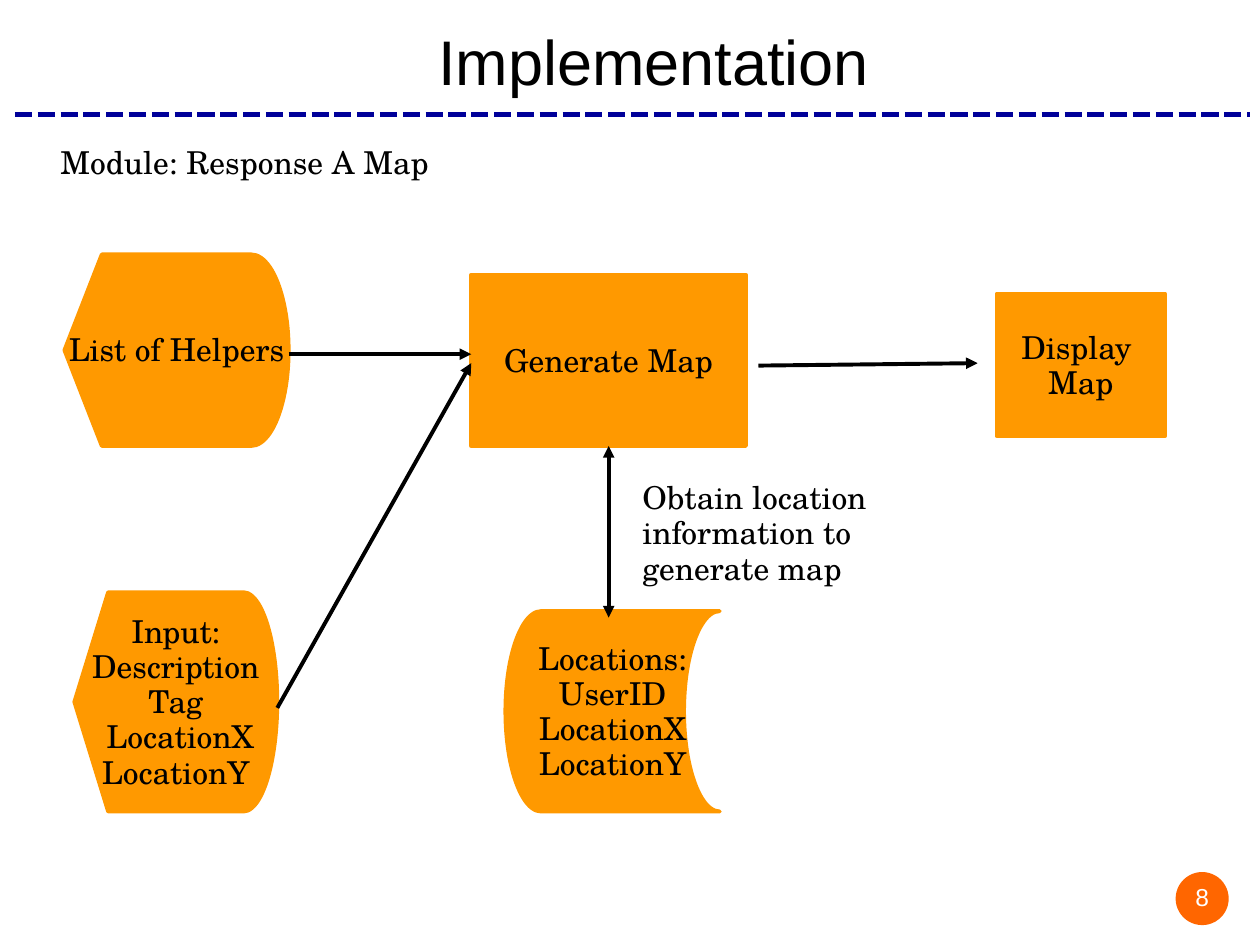
"""Builds the Implementation slide with the map response flow."""
from lxml.etree import SubElement
from pptx import Presentation
from pptx.dml.color import RGBColor
from pptx.enum.dml import MSO_LINE
from pptx.enum.shapes import MSO_CONNECTOR, MSO_SHAPE as SHAPE
from pptx.enum.text import MSO_ANCHOR as ANCHOR, MSO_AUTO_SIZE, PP_ALIGN as ALIGN
from pptx.oxml.ns import qn
from pptx.util import Cm, Pt

COLORS = {"box": "FF9900", "badge": "FF6600", "rule": "000099",
          "text": "000000", "light": "FFFFFF"}
SERIF, SANS = "TeX Gyre Schola", "Arial"


def write(sp, text, size=18, font=SERIF, color="text", align=ALIGN.CENTER,
          anchor=ANCHOR.MIDDLE, wrap=False, spacing=0.93, margins=(0.25, 0.18, 0.25, 0.13)):
    tf = sp.text_frame
    tf.auto_size = MSO_AUTO_SIZE.NONE
    tf.word_wrap, tf.vertical_anchor = wrap, anchor
    tf.margin_left, tf.margin_top, tf.margin_right, tf.margin_bottom = map(Cm, margins)
    tf.text = text
    for p in tf.paragraphs:
        p.alignment, p.line_spacing = align, spacing
        for r in p.runs:
            r.font.size, r.font.name = Pt(size), font
            r.font.color.rgb = RGBColor.from_string(COLORS[color])


def connect(s, x1, y1, x2, y2, color="text", width=2.25, heads=()):
    line = s.shapes.add_connector(MSO_CONNECTOR.STRAIGHT, Cm(x1), Cm(y1), Cm(x2), Cm(y2))
    line.line.color.rgb = RGBColor.from_string(COLORS[color])
    line.line.width = Pt(width)
    for head in heads:
        SubElement(line.line._get_or_add_ln(), qn(f"a:{head}"), type="triangle")
    SubElement(line._element.spPr, qn("a:effectLst"))
    return line


prs = Presentation()
prs.slide_width, prs.slide_height = Cm(25.4), Cm(19.05)
s = prs.slides.add_slide(prs.slide_layouts[5])

title = s.shapes.title
title.left, title.top, title.width, title.height = Cm(4.5), Cm(0.33), Cm(17.35), Cm(1.78)
write(title, "Implementation", size=36, font=SANS, anchor=ANCHOR.TOP, wrap=True,
      spacing=1.0, margins=(0.25, 0.13, 0.25, 0.13))

rule = connect(s, 0.3, 2.31, 25.2, 2.31, color="rule", width=3.25)
rule.line.dash_style = MSO_LINE.SQUARE_DOT

labels = [
    ("Module: Response A Map", 0.97, 2.77, 8.76, 0.86),
    ("Obtain location information to generate map", 12.7, 9.53, 5.66, 2.16),
]
for text, *place in labels:
    label = s.shapes.add_textbox(*map(Cm, place))
    write(label, text, align=ALIGN.LEFT, anchor=ANCHOR.TOP, wrap=True)

boxes = [
    (SHAPE.FLOWCHART_DISPLAY, "List of Helpers", 1.3, 5.13, 4.52, 3.86),
    (SHAPE.FLOWCHART_STORED_DATA, "Locations:\nUserID\nLocationX\nLocationY",
     10.19, 12.32, 4.32, 4.04),
    (SHAPE.FLOWCHART_DISPLAY, "Input:\nDescription\nTag\n LocationX\nLocationY",
     1.5, 11.94, 4.09, 4.42),
    (SHAPE.RECTANGLE, "Generate Map", 9.5, 5.54, 5.54, 3.45),
    (SHAPE.RECTANGLE, "Display \nMap", 20.09, 5.92, 3.4, 2.87),
]
for kind, text, *place in boxes:
    box = s.shapes.add_shape(kind, *map(Cm, place))
    box.shadow.inherit = False
    box.fill.solid()
    box.fill.fore_color.rgb = RGBColor.from_string(COLORS["box"])
    box.line.color.rgb = RGBColor.from_string(COLORS["box"])
    box.line.width = Pt(2.25)
    write(box, text)

arrows = [
    (5.82, 7.14, 9.5, 7.14),
    (5.59, 14.27, 9.5, 7.32),
    (15.29, 7.37, 19.71, 7.32),
]
for ends in arrows:
    connect(s, *ends, heads=["tailEnd"])
connect(s, 12.27, 8.99, 12.27, 12.45, heads=["headEnd", "tailEnd"])

badge = s.shapes.add_shape(SHAPE.OVAL, Cm(23.7), Cm(17.58), Cm(1.07), Cm(1.07))
badge.shadow.inherit = False
badge.fill.solid()
badge.fill.fore_color.rgb = RGBColor.from_string(COLORS["badge"])
badge.line.fill.background()
write(badge, "8", size=14, font=SANS, color="light", margins=(0, 0, 0, 0))

prs.save("out.pptx")
